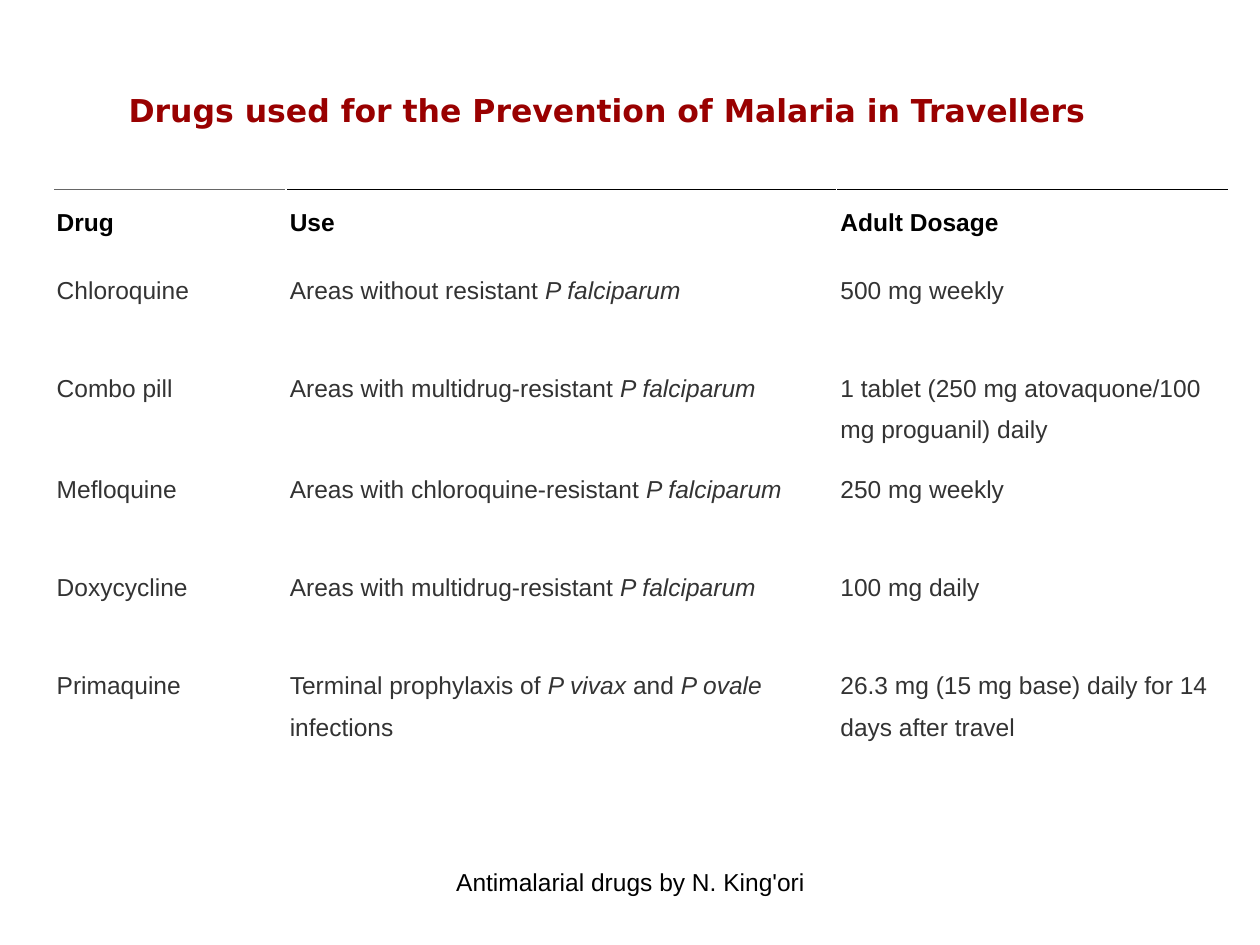
"""Build a slide with a table of drugs that prevent malaria in travellers."""
from dataclasses import dataclass

from lxml import etree
from pptx import Presentation
from pptx import util as u
from pptx.dml.color import RGBColor
from pptx.enum import text
from pptx.oxml import ns


@dataclass(frozen=True)
class Theme:
    """Hold the colours, fonts and type sizes."""
    title: str = "990000"
    ink: str = "000000"
    body: str = "333333"
    rule: str = "666666"
    paper: str = "FFFFFF"
    head_font: str = "DejaVu Sans"
    font: str = "Arial"
    head_size: int = 18
    size: int = 14


@dataclass(frozen=True)
class Drug:
    """Describe one table row; asterisks enclose italic words."""
    name: str
    use: str
    dose: str


LOOK = Theme()
HEAD = Drug("Drug", "Use", "Adult Dosage")
DRUGS = [
    Drug("Chloroquine", "Areas without resistant *P falciparum*", "500 mg weekly"),
    Drug("Combo pill", "Areas with multidrug-resistant* P falciparum*",
         "1 tablet (250 mg atovaquone/100 mg proguanil) daily"),
    Drug("Mefloquine", "Areas with chloroquine-resistant *P falciparum*", "250 mg weekly"),
    Drug("Doxycycline", "Areas with multidrug-resistant *P falciparum*", "100 mg daily"),
    Drug("Primaquine", "Terminal prophylaxis of *P vivax *and *P ovale* infections",
         "26.3 mg (15 mg base) daily for 14 days after travel"),
]
WIDTHS = (1.85, 4.37, 3.11)
HEAD_TALL, ROW_TALL = 0.54, 0.78


def style(font, face: str, size: int, hue: str, bold: bool = False) -> None:
    """Set the face, size, colour and weight of a font."""
    font.name, font.size, font.bold = face, u.Pt(size), bold
    font.color.rgb = RGBColor.from_string(hue)


def place(shape, left: float, top: float, width: float, height: float) -> None:
    """Move and size a shape in inches."""
    shape.left, shape.top = u.Inches(left), u.Inches(top)
    shape.width, shape.height = u.Inches(width), u.Inches(height)


def add_title(slide, words: str) -> None:
    """Fill and format the title placeholder."""
    title = slide.shapes.title
    place(title, 0.92, 0.67, 7.92, 0.4)
    frame = title.text_frame
    frame.text = words
    frame.word_wrap = True
    frame.auto_size = text.MSO_AUTO_SIZE.SHAPE_TO_FIT_TEXT
    frame.vertical_anchor = text.MSO_ANCHOR.MIDDLE
    line = frame.paragraphs[0]
    line.alignment = text.PP_ALIGN.LEFT
    style(line.runs[0].font, LOOK.head_font, LOOK.head_size, LOOK.title, True)


def add_credit(slide, words: str) -> None:
    """Add the centred line at the foot of the slide."""
    box = slide.shapes.add_textbox(*map(u.Inches, (3.42, 6.83, 3.17, 0.52)))
    frame = box.text_frame
    frame.text = words
    frame.word_wrap = True
    line = frame.paragraphs[0]
    line.alignment = text.PP_ALIGN.CENTER
    style(line.runs[0].font, LOOK.font, LOOK.size, LOOK.ink)


def rule_top(cell, hue: str) -> None:
    """Draw a thin line along the top of a cell."""
    edge = etree.Element(ns.qn("a:lnT"), w=str(u.Pt(0.45)))
    fill = etree.SubElement(edge, ns.qn("a:solidFill"))
    etree.SubElement(fill, ns.qn("a:srgbClr"), val=hue)
    cell._tc.get_or_add_tcPr().insert(0, edge)


def fill_cell(cell, words: str, head: bool) -> None:
    """Write one cell, with the marked words in italics."""
    cell.fill.solid()
    cell.fill.fore_color.rgb = RGBColor.from_string(LOOK.paper)
    cell.margin_left = cell.margin_right = u.Inches(0.03)
    cell.margin_top = cell.margin_bottom = u.Inches(0.05)
    line = cell.text_frame.paragraphs[0]
    line.line_spacing = 1.5
    if not head:
        line.space_after = u.Pt(6.8)
    for spot, part in enumerate(words.split("*")):
        run = line.add_run()
        run.text = part
        style(run.font, LOOK.font, LOOK.size, LOOK.ink if head else LOOK.body, head)
        run.font.italic = spot % 2 == 1


def add_grid(slide, rows: list[Drug]) -> None:
    """Add the drug table, its first row being the heading."""
    tall = HEAD_TALL + ROW_TALL * (len(rows) - 1)
    area = map(u.Inches, (0.42, 1.5, sum(WIDTHS), tall))
    grid = slide.shapes.add_table(len(rows), len(WIDTHS), *area).table
    grid.first_row = grid.horz_banding = False
    for col, width in zip(grid.columns, WIDTHS):
        col.width = u.Inches(width)
    for r, drug in enumerate(rows):
        grid.rows[r].height = u.Inches(ROW_TALL if r else HEAD_TALL)
        for c, words in enumerate((drug.name, drug.use, drug.dose)):
            fill_cell(grid.cell(r, c), words, r == 0)
    for c in range(len(WIDTHS)):
        rule_top(grid.cell(0, c), LOOK.ink if c else LOOK.rule)


def main() -> None:
    """Build and save the slide."""
    deck = Presentation()
    deck.slide_width, deck.slide_height = u.Inches(10), u.Inches(7.5)
    slide = deck.slides.add_slide(deck.slide_layouts.get_by_name("Title Only"))
    add_grid(slide, [HEAD, *DRUGS])
    add_title(slide, "Drugs used for the Prevention of Malaria in Travellers")
    add_credit(slide, "Antimalarial drugs by N. King'ori")
    deck.save("out.pptx")


if __name__ == "__main__":
    main()
